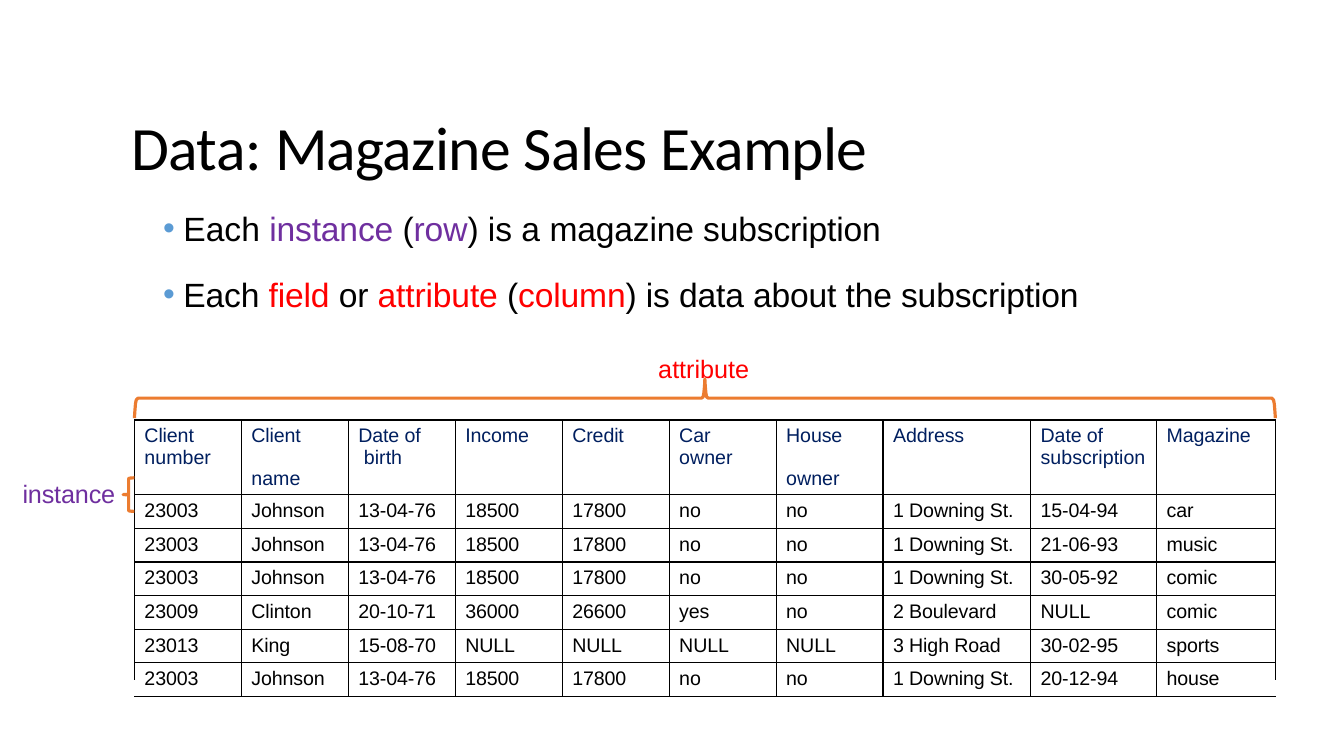
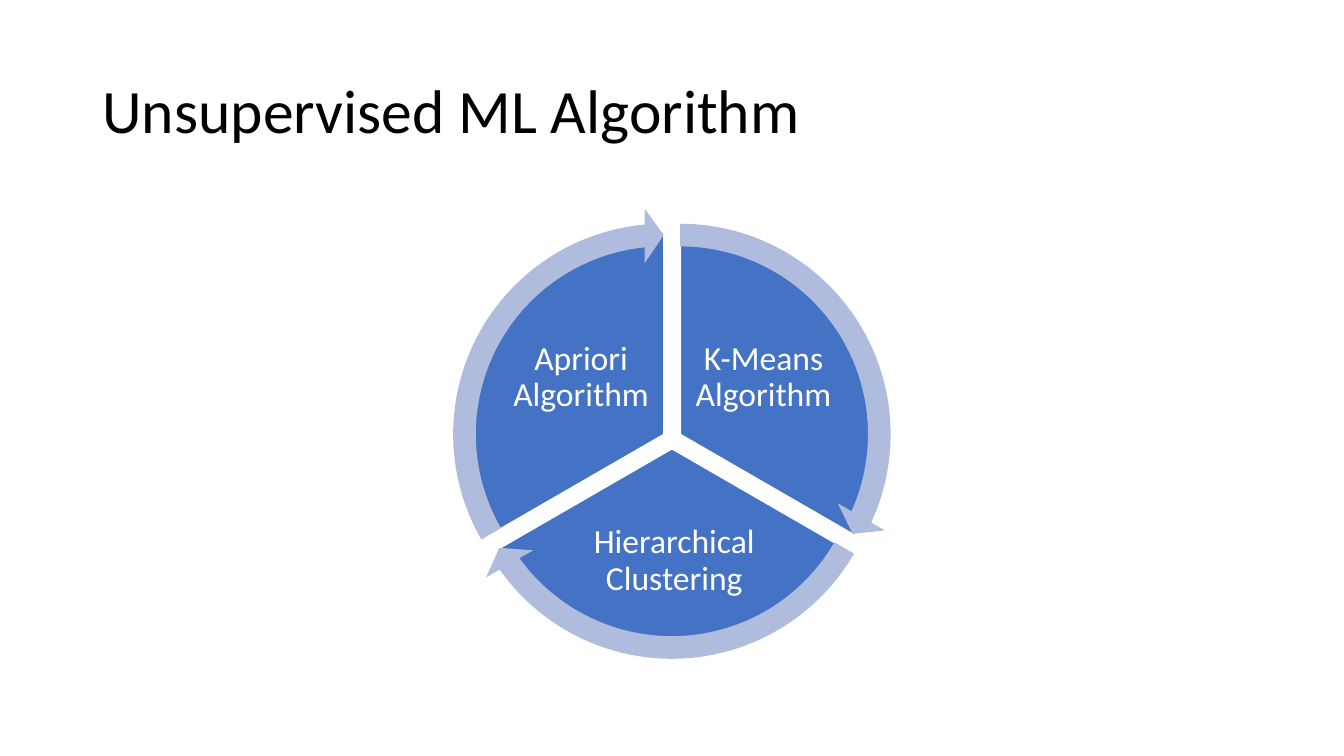
"""Build two slides: a magazine sales data table and a cycle of unsupervised algorithms."""
from dataclasses import dataclass
from typing import NamedTuple

from lxml.etree import SubElement
from pptx import Presentation
from pptx.dml.color import RGBColor as Rgb
from pptx.enum.shapes import MSO_CONNECTOR as Connector, MSO_SHAPE as Preset
from pptx.enum.text import MSO_ANCHOR as Anchor, MSO_AUTO_SIZE as AutoSize, PP_ALIGN as Align
from pptx.oxml import parse_xml
from pptx.oxml.ns import nsdecls, qn
from pptx.util import Pt

COLORS = {
    "black": "000000",
    "white": "FFFFFF",
    "navy": "001F5F",
    "purple": "6F2F9F",
    "red": "FF0000",
    "orange": "EC7C30",
    "bullet": "5B9BD4",
    "pie": "4472C4",
    "arrow": "B0BCDE",
}


class Box(NamedTuple):
    left: float
    top: float
    width: float
    height: float

    def points(self) -> list:
        return [Pt(value) for value in self]


@dataclass
class Span:
    text: str
    color: str = "black"
    spacing: float = 0


@dataclass
class Style:
    size: float
    font: str = "Arial"
    alignment: Align = Align.LEFT
    indent: float = 0
    hanging: float = 0
    before: float = 0
    line: float = 1.0


@dataclass
class Column:
    width: float
    first: str
    second: str = ""
    gap: float = 0
    indent: float = 0


@dataclass
class Sector:
    label: str
    pie: Box
    text: Box
    start: float
    end: float
    arrow: Box
    arrow_end: float
    arrow_start: float


COLUMNS = [
    Column(76.4, "Client", "number"),
    Column(76.4, "Client", "name", gap=14.5),
    Column(76.4, "Date of", "birth", indent=4),
    Column(76.4, "Income"),
    Column(76.4, "Credit"),
    Column(76.4, "Car", "owner"),
    Column(76.4, "House", "owner", gap=14.5),
    Column(105.4, "Address"),
    Column(90, "Date of", "subscription"),
    Column(85, "Magazine"),
]
JOHNSON = ["23003", "Johnson", "13-04-76", "18500", "17800", "no", "no", "1 Downing St."]
RECORDS = [
    [*JOHNSON, "15-04-94", "car"],
    [*JOHNSON, "21-06-93", "music"],
    [*JOHNSON, "30-05-92", "comic"],
    ["23009", "Clinton", "20-10-71", "36000", "26600", "yes", "no", "2 Boulevard", "NULL", "comic"],
    ["23013", "King", "15-08-70", *["NULL"] * 4, "3 High Road", "30-02-95", "sports"],
    [*JOHNSON, "20-12-94", "house"],
]
BULLETS = [
    [Span("Each "), Span("instance ", "purple", -0.1), Span("(", spacing=-0.1),
     Span("row", "purple", -0.1), Span(") ", spacing=-0.1), Span("is a "),
     Span("magazine subscription", spacing=-0.1)],
    [Span("Each ", spacing=-0.1), Span("field ", "red", -0.1), Span("or ", spacing=-0.1),
     Span("attribute ", "red", -0.1), Span("(", spacing=-0.1), Span("column", "red", -0.1),
     Span(") is data about the subscription", spacing=-0.1)],
]
SECTORS = [
    Sector("K-Means Algorithm", Box(342, 166.3, 288, 288), Box(493.9, 226.8, 103, 85.7),
           162, 18, Box(324.2, 148.5, 323.3, 323.3), 14.725, 161.994),
    Sector("Hierarchical Clustering", Box(336, 176.6, 288, 288), Box(404.6, 362.9, 154.1, 75.6),
           18, 90, Box(318.2, 158.6, 323.3, 323.3), 86.72, 18.005),
    Sector("Apriori Algorithm", Box(330.2, 166.3, 288, 288), Box(363.6, 226.8, 103, 85.7),
           90, 162, Box(312.4, 148.5, 323.3, 323.3), 158.73, 90),
]
TABLE_LEFT, TABLE_RIGHT, TABLE_TOP = 96, 911, 270.5
SPACER_HEIGHT, HEADER_HEIGHT, RECORD_HEIGHT = 29.5, 53.5, 24
BRACE_CORNER = [(0, 0), (0.15, 0.2), (0.3, 0.36), (0.5, 0.46), (1, 0.51)]
BRACE_NECK = [(1, 0.51), (0.5, 0.54), (0.3, 0.64), (0.1, 0.82), (0, 1)]


def rgb(name: str) -> Rgb:
    return Rgb.from_string(COLORS[name])


def write(paragraph, spans: list[Span], style: Style) -> None:
    paragraph.alignment = style.alignment
    paragraph.line_spacing = style.line
    paragraph.space_before = Pt(style.before)
    paragraph.space_after = Pt(0)
    properties = paragraph._p.get_or_add_pPr()
    properties.set("marL", str(Pt(style.indent)))
    properties.set("indent", str(Pt(style.hanging)))
    for span in spans:
        run = paragraph.add_run()
        run.text = span.text
        run.font.size = Pt(style.size)
        run.font.name = style.font
        run.font.color.rgb = rgb(span.color)
        run._r.get_or_add_rPr().set("spc", str(round(span.spacing * 100)))


def set_bullet(paragraph, character: str = "") -> None:
    properties = paragraph._p.get_or_add_pPr()
    if not character:
        SubElement(properties, qn("a:buNone"))
        return
    color = SubElement(properties, qn("a:buClr"))
    SubElement(color, qn("a:srgbClr")).set("val", COLORS["bullet"])
    SubElement(properties, qn("a:buChar")).set("char", character)


def prepare_frame(shape, box: Box, margins: tuple, anchor: Anchor):
    shape.left, shape.top, shape.width, shape.height = box.points()
    frame = shape.text_frame
    frame.word_wrap = True
    frame.auto_size = AutoSize.NONE
    frame.vertical_anchor = anchor
    frame.margin_left, frame.margin_top, frame.margin_right, frame.margin_bottom = map(Pt, margins)
    return frame


def set_title(slide, box: Box, margins: tuple, spans: list[Span], line: float) -> None:
    frame = prepare_frame(slide.shapes.title, box, margins, Anchor.MIDDLE)
    write(frame.paragraphs[0], spans, Style(44, "Calibri", line=line))


def add_label(slide, box: Box, margins: tuple, span: Span, style: Style, anchor: Anchor) -> None:
    frame = prepare_frame(slide.shapes.add_textbox(*box.points()), box, margins, anchor)
    write(frame.paragraphs[0], [span], style)


def add_edge(slide, x: float, top: float, bottom: float) -> None:
    edge = slide.shapes.add_connector(Connector.STRAIGHT, Pt(x), Pt(top), Pt(x), Pt(bottom))
    edge.line.color.rgb = rgb("black")
    edge.line.width = Pt(1)
    SubElement(edge._element.spPr, qn("a:effectLst"))


def add_brace(slide, box: Box, radius: float, upward: bool) -> None:
    length, depth = (box.width, box.height) if upward else (box.height, box.width)
    half = [(along * radius, out) for along, out in BRACE_CORNER]
    half += [(length / 2 - along * radius, out) for along, out in BRACE_NECK]
    outline = half + [(length - along, out) for along, out in reversed(half[:-1])]
    right, bottom = box.left + box.width, box.top + box.height
    points = [
        (Pt(box.left + along), Pt(bottom - out * depth)) if upward
        else (Pt(right - out * depth), Pt(box.top + along))
        for along, out in outline
    ]
    builder = slide.shapes.build_freeform(*points[0])
    builder.add_line_segments(points[1:], close=False)
    brace = builder.convert_to_shape()
    brace.shadow.inherit = False
    brace.fill.background()
    brace.line.color.rgb = rgb("orange")
    brace.line.width = Pt(2.28)


def format_cell(cell, drawn: str) -> None:
    cell.fill.background()
    cell.margin_left = cell.margin_right = cell.margin_bottom = 0
    cell.margin_top = Pt(3.6)
    properties = cell._tc.get_or_add_tcPr()
    for position, side in enumerate("LRTB"):
        paint = f'<a:solidFill><a:srgbClr val="{COLORS["black"]}"/></a:solidFill>'
        if side not in drawn:
            paint = "<a:noFill/>"
        border = f'<a:ln{side} {nsdecls("a")} w="{Pt(1)}">{paint}</a:ln{side}>'
        properties.insert(position, parse_xml(border))


def add_sales_table(slide) -> None:
    heights = [SPACER_HEIGHT, HEADER_HEIGHT] + [RECORD_HEIGHT] * len(RECORDS)
    box = Box(TABLE_LEFT, TABLE_TOP, sum(column.width for column in COLUMNS), sum(heights))
    table = slide.shapes.add_table(len(heights), len(COLUMNS), *box.points()).table
    table.first_row = table.horz_banding = False
    for row, height in zip(table.rows, heights):
        row.height = Pt(height)
    last = len(COLUMNS) - 1
    for index, column in enumerate(COLUMNS):
        table.columns[index].width = Pt(column.width)
        format_cell(table.cell(0, index), "B")
        sides = "RTB" if index == 0 else "LTB" if index == last else "LRTB"
        for row in range(1, len(heights)):
            format_cell(table.cell(row, index), sides)
        frame = table.cell(1, index).text_frame
        write(frame.paragraphs[0], [Span(column.first, "navy", -0.1)],
              Style(14, indent=7.2, before=3.2))
        if column.second:
            write(frame.add_paragraph(), [Span(column.second, "navy")],
                  Style(14, indent=7.2 + column.indent, before=column.gap))
        for row, record in enumerate(RECORDS, start=2):
            write(table.cell(row, index).text_frame.paragraphs[0],
                  [Span(record[index], spacing=-0.1)], Style(14, indent=7.2, before=3.2))
    table.cell(0, 0).merge(table.cell(0, last))


def build_data_slide(presentation) -> None:
    slide = presentation.slides.add_slide(presentation.slide_layouts[1])
    set_title(slide, Box(93.6, 73.4, 688, 60), (0, 1, 0, 0),
              [Span("Data: ", spacing=-0.4), Span("Magazine Sales Example", spacing=-0.5)], 1)
    for x in (TABLE_LEFT, TABLE_RIGHT):
        add_edge(slide, x, TABLE_TOP + SPACER_HEIGHT, 486)
    add_sales_table(slide)
    add_brace(slide, Box(TABLE_LEFT, 270.7, TABLE_RIGHT - TABLE_LEFT, 28), 2.5, True)
    frame = prepare_frame(slide.placeholders[1], Box(116, 147.6, 662.4, 125.3),
                          (0, 1, 0, 0), Anchor.TOP)
    for index, spans in enumerate(BULLETS):
        paragraph = frame.add_paragraph() if index else frame.paragraphs[0]
        write(paragraph, spans, Style(24, indent=15, hanging=-14.4, before=18.1 if index else 1))
        set_bullet(paragraph, "•")
    caption = frame.add_paragraph()
    write(caption, [Span("attribute", "red")],
          Style(18, alignment=Align.CENTER, indent=111, before=28))
    set_bullet(caption)
    add_brace(slide, Box(88, 341.3, 8, 24), 0.7, False)
    add_label(slide, Box(15.4, 340.6, 69.1, 24), (0, 1, 0, 0), Span("instance", "purple", -0.1),
              Style(18, indent=0.7, before=1), Anchor.TOP)


def add_cycle_shape(slide, preset: Preset, box: Box, fill: str, adjustments: list[float]):
    shape = slide.shapes.add_shape(preset, *box.points())
    shape.shadow.inherit = False
    shape.fill.solid()
    shape.fill.fore_color.rgb = rgb(fill)
    shape.line.fill.background()
    for index, value in enumerate(adjustments):
        shape.adjustments[index] = value
    return shape


def build_algorithm_slide(presentation) -> None:
    slide = presentation.slides.add_slide(presentation.slide_layouts[5])
    set_title(slide, Box(66, 28.8, 828, 104.4), (7.2, 3.6, 7.2, 3.6),
              [Span("Unsupervised ML Algorithm")], 0.9)
    for sector in SECTORS:
        pie = add_cycle_shape(slide, Preset.PIE, sector.pie, "pie", [sector.start, sector.end])
        pie.line.color.rgb = rgb("white")
        pie.line.width = Pt(1)
        add_label(slide, sector.text, (2.2,) * 4, Span(sector.label, "white"),
                  Style(24, "Calibri", Align.CENTER, line=0.9), Anchor.MIDDLE)
    for sector in SECTORS:
        add_cycle_shape(slide, Preset.CIRCULAR_ARROW, sector.arrow, "arrow",
                        [0.05, 3.28, sector.arrow_end, sector.arrow_start, 0.06])


def main() -> None:
    presentation = Presentation()
    presentation.slide_width, presentation.slide_height = Pt(960), Pt(540)
    build_data_slide(presentation)
    build_algorithm_slide(presentation)
    presentation.save("out.pptx")


if __name__ == "__main__":
    main()
